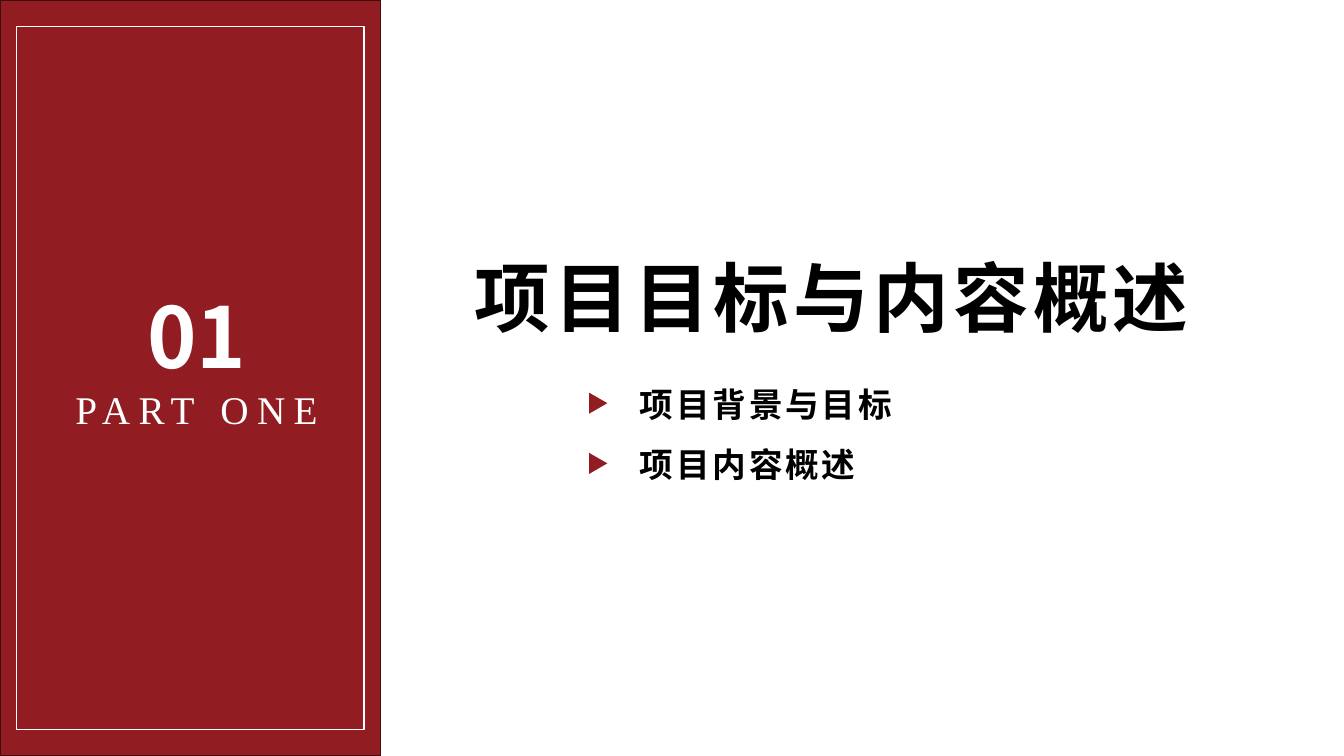
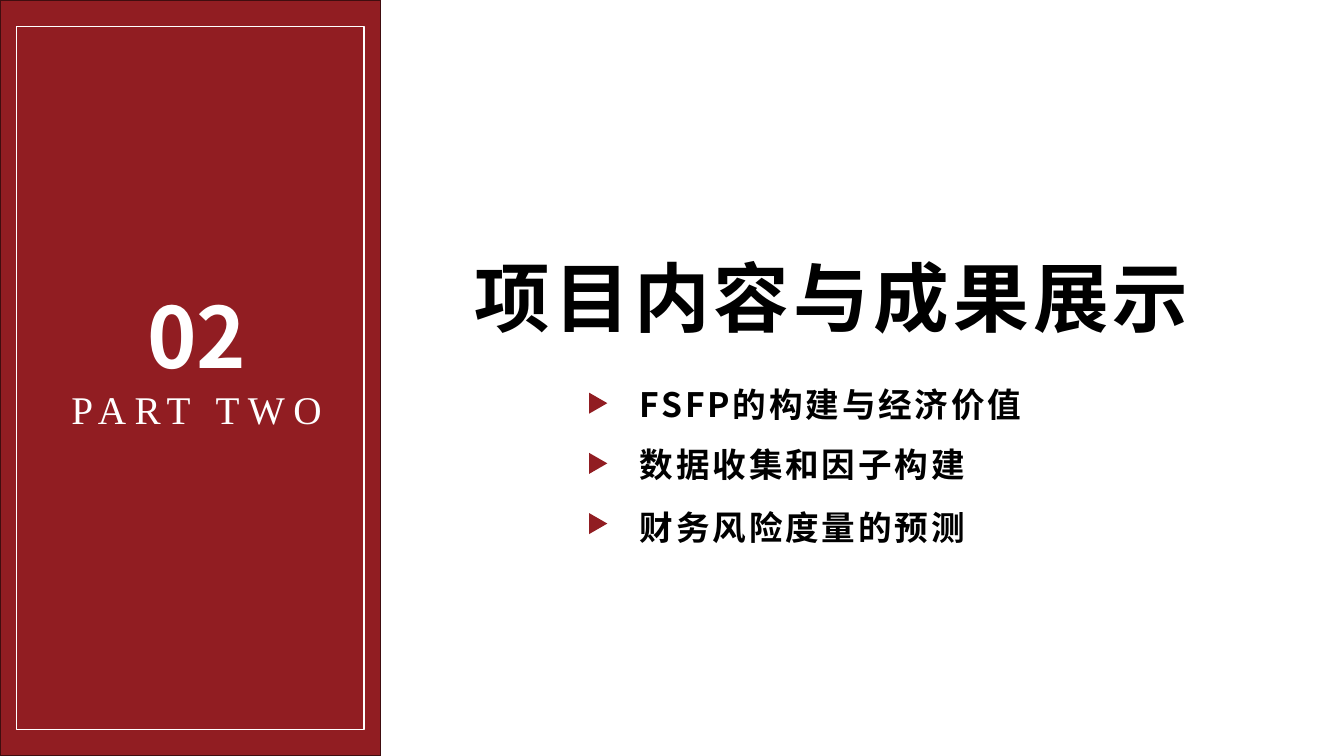
from dataclasses import dataclass

from lxml import etree
from pptx import Presentation
from pptx import util as u
from pptx.dml import color
from pptx.enum import shapes, text
from pptx.oxml import ns


# Colours, fonts and type sizes
@dataclass(frozen=True)
class Theme:
    red: str = "911D22"
    edge: str = "400D0F"
    white: str = "FFFFFF"
    black: str = "000000"
    sans: str = "Noto Sans CJK SC"
    serif: str = "Times New Roman"
    number_size: int = 60
    title_size: int = 54
    part_size: int = 28
    topic_size: int = 24


THEME = Theme()
NUMBER = dict(size=THEME.number_size, name=THEME.sans, bold=True)
PART = dict(size=THEME.part_size, name=THEME.serif, bold=False)
TITLE = dict(size=THEME.title_size, name=THEME.sans, bold=True)
TOPIC = dict(size=THEME.topic_size, name=THEME.sans, bold=True)

# Topic rows, in points
TOPIC_TOPS = (268, 310.5, 356)
MARKER_TOP, MARKER_PITCH = 281.5, 43

SECTIONS = [
    ("01", "PART ONE", "项目目标与内容概述", ["项目背景与目标", "项目内容概述"]),
    ("02", "PART TWO", "项目内容与成果展示",
     ["FSFP的构建与经济价值", "数据收集和因子构建", "财务风险度量的预测"]),
]


class SectionDeck:
    def __init__(self):
        self.deck = Presentation()
        self.deck.slide_width, self.deck.slide_height = u.Pt(960), u.Pt(540)
        self.page = None

    def add_page(self):
        self.page = self.deck.slides.add_slide(self.deck.slide_layouts[6])

    def shape(self, kind, left, top, width, height, fill=None, line=None, rotation=0):
        shape = self.page.shapes.add_shape(
            kind, u.Pt(left), u.Pt(top), u.Pt(width), u.Pt(height))
        shape.shadow.inherit = False
        shape.rotation = rotation
        if fill:
            shape.fill.solid()
            shape.fill.fore_color.rgb = color.RGBColor.from_string(fill)
        else:
            shape.fill.background()
        if line:
            shape.line.color.rgb = color.RGBColor.from_string(line)
            shape.line.width = u.Pt(1)
        else:
            shape.line.fill.background()

    def text_box(self, left, top, width, height, wrap=True):
        box = self.page.shapes.add_textbox(
            u.Pt(left), u.Pt(top), u.Pt(width), u.Pt(height))
        box.text_frame.word_wrap = wrap
        box.text_frame.auto_size = text.MSO_AUTO_SIZE.SHAPE_TO_FIT_TEXT
        return box.text_frame

    def add_words(self, para, words, style, ink=THEME.black, tracking=0, **layout):
        for key, value in layout.items():
            setattr(para, key, value)
        span = para.add_run()
        span.text = words
        for key, value in style.items():
            setattr(span.font, key, u.Pt(value) if key == "size" else value)
        span.font.color.rgb = color.RGBColor.from_string(ink)
        # East Asian font and letter spacing
        props = span._r.get_or_add_rPr()
        etree.SubElement(props, ns.qn("a:ea"), typeface=style["name"])
        if tracking:
            props.set("spc", str(tracking * 100))

    def panel(self, number, part):
        rectangle = shapes.MSO_SHAPE.RECTANGLE
        self.shape(rectangle, 0, 0, 272, 540, THEME.red, THEME.edge)
        self.shape(rectangle, 12, 19, 248, 502, line=THEME.white)
        frame = self.text_box(42.5, 222, 196, 91.5, wrap=False)
        centre = text.PP_ALIGN.CENTER
        self.add_words(frame.paragraphs[0], number, NUMBER, THEME.white,
                       alignment=centre, line_spacing=u.Pt(50))
        self.add_words(frame.add_paragraph(), part, PART, THEME.white, 6,
                       alignment=centre)

    def title(self, words):
        frame = self.text_box(332, 175.7, 582.5, 73)
        self.add_words(frame.paragraphs[0], words, TITLE, tracking=3)

    def topics(self, names):
        for row, (name, top) in enumerate(zip(names, TOPIC_TOPS)):
            self.shape(shapes.MSO_SHAPE.ISOSCELES_TRIANGLE, 419.8,
                       MARKER_TOP + row * MARKER_PITCH, 15, 13,
                       THEME.red, rotation=90)
            frame = self.text_box(450, top, 384, 39)
            self.add_words(frame.paragraphs[0], name, TOPIC, tracking=2,
                           line_spacing=1.1)


def main():
    builder = SectionDeck()
    for number, part, title, topics in SECTIONS:
        builder.add_page()
        builder.panel(number, part)
        builder.title(title)
        builder.topics(topics)
    builder.deck.save("out.pptx")


if __name__ == "__main__":
    main()
